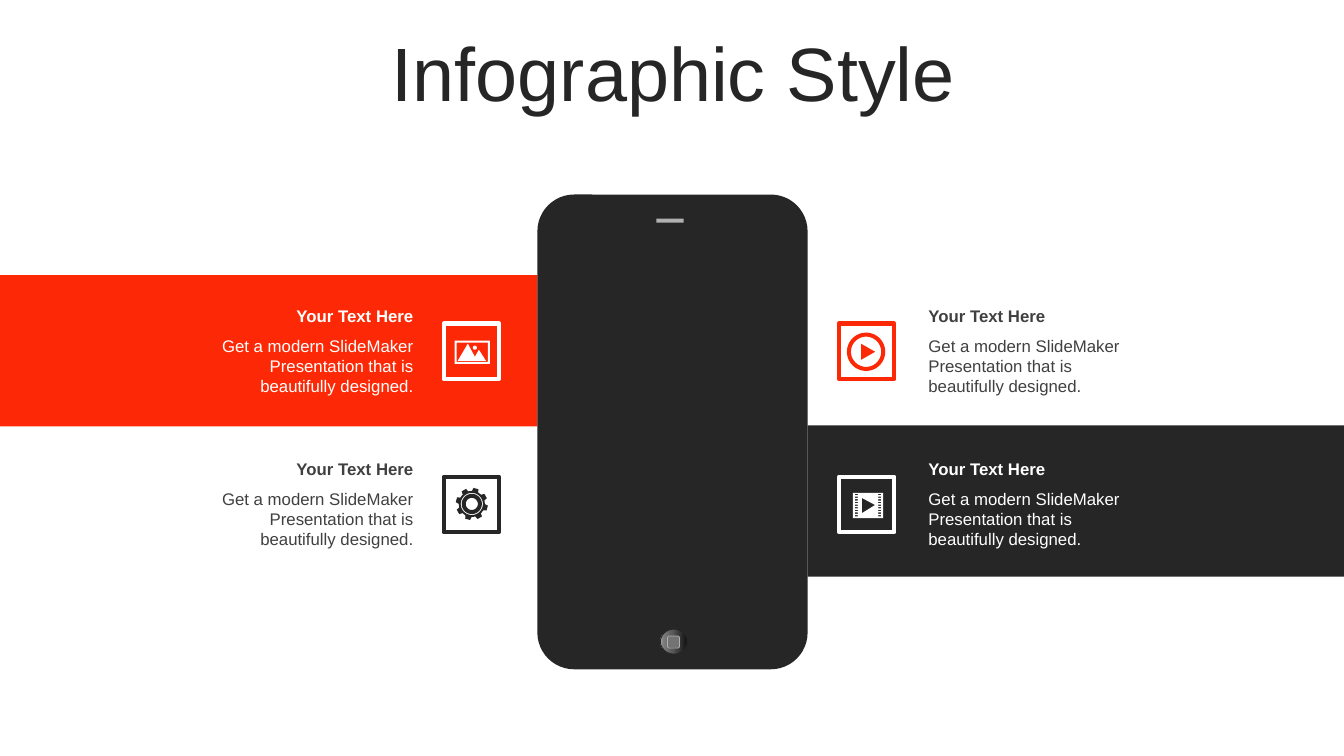
from math import cos, pi, sin

from lxml.etree import SubElement
from pptx import Presentation
from pptx.dml.color import RGBColor
from pptx.enum.shapes import MSO_SHAPE
from pptx.enum.text import MSO_ANCHOR, MSO_AUTO_SIZE, PP_ALIGN
from pptx.oxml.ns import qn
from pptx.util import Inches, Pt

COLORS = {
    "red": "FD2906",
    "dark": "262626",
    "white": "FFFFFF",
    "text": "404040",
    "silver": "B0B0B0",
    "button": "737373",
}
BUTTON_STOPS = [(0, "0F0F0F"), (56, "595959"), (91, "808080"), (100, "BFBFBF")]
BODY = "Get a modern SlideMaker Presentation that is beautifully designed."


def write_text(frame, text, *, size, color, bold=False, align=PP_ALIGN.LEFT,
               anchor=MSO_ANCHOR.TOP, before=0, spacing=1.0):
    """Fill a text frame with one formatted paragraph."""
    frame.word_wrap = True
    frame.auto_size = MSO_AUTO_SIZE.NONE
    frame.vertical_anchor = anchor
    paragraph = frame.paragraphs[0]
    paragraph.alignment = align
    paragraph.space_before = Pt(before)
    paragraph.line_spacing = spacing
    run = paragraph.add_run()
    run.text = text
    run.font.name = "Arial"
    run.font.size = Pt(size)
    run.font.bold = bold
    run.font.color.rgb = RGBColor.from_string(COLORS[color])


def box(left, top, width, height):
    """Return the corners of a rectangle."""
    right, bottom = left + width, top + height
    return [(left, top), (right, top), (right, bottom), (left, bottom)]


def circle(x, y, radius, count=48):
    """Return points evenly spaced around a circle."""
    angles = [2 * pi * step / count for step in range(count)]
    return [(x + radius * cos(a), y + radius * sin(a)) for a in angles]


def gear(x, y, teeth=8):
    """Return the toothed outline of a gear."""
    points = []
    for tooth in range(teeth):
        for offset, radius in [(-14, 0.13), (-9, 0.16), (9, 0.16), (14, 0.13)]:
            angle = (-75 + tooth * 360 / teeth + offset) * pi / 180
            points.append((x + radius * cos(angle), y + radius * sin(angle)))
    return points


class SlideBuilder:
    """Hold the slide and draw styled elements on it."""

    def __init__(self, slide):
        """Keep the slide to draw on."""
        self.slide = slide

    def title(self, text):
        """Place the slide title."""
        shape = self.slide.shapes.title
        shape.left, shape.top = Inches(0.35), Inches(0.37)
        shape.width, shape.height = Inches(12.66), Inches(0.79)
        write_text(shape.text_frame, text, size=54, color="dark", spacing=0.9,
                   align=PP_ALIGN.CENTER, anchor=MSO_ANCHOR.MIDDLE, before=10)

    def paint(self, shape, fill=None, line=None, line_width=0):
        """Apply fill and outline to a shape."""
        shape.shadow.inherit = False
        if fill:
            shape.fill.solid()
            shape.fill.fore_color.rgb = RGBColor.from_string(COLORS[fill])
        else:
            shape.fill.background()
        if line:
            shape.line.color.rgb = RGBColor.from_string(COLORS[line])
            shape.line.width = Pt(line_width)
        else:
            shape.line.fill.background()

    def shape(self, kind, left, top, width, height, **style):
        """Add a preset shape."""
        shape = self.slide.shapes.add_shape(
            kind, Inches(left), Inches(top), Inches(width), Inches(height))
        self.paint(shape, **style)
        return shape

    def icon(self, color, outlines):
        """Add nested outlines as one shape."""
        builder = None
        for outline in outlines:
            points = [(Inches(x), Inches(y)) for x, y in outline]
            if builder is None:
                builder = self.slide.shapes.build_freeform(*points[0], scale=1.0)
            else:
                builder.move_to(*points[0])
            builder.add_line_segments(points[1:], close=True)
        self.paint(builder.convert_to_shape(), fill=color)

    def text(self, text, left, top, height, **style):
        """Add a caption text box."""
        shape = self.slide.shapes.add_textbox(
            Inches(left), Inches(top), Inches(2.2), Inches(height))
        write_text(shape.text_frame, text, size=12, before=2.4, **style)

    def feature(self, left, top, frame_left, align, color, frame_color):
        """Add a heading, its description and an icon frame."""
        self.text("Your Text Here", left, top, 0.3, color=color, bold=True,
                  align=align, anchor=MSO_ANCHOR.MIDDLE)
        self.text(BODY, left, top + 0.3, 0.71, color=color, align=align)
        self.shape(MSO_SHAPE.RECTANGLE, frame_left, top + 0.23, 0.55, 0.55,
                   line=frame_color, line_width=3)

    def phone(self):
        """Draw the phone with its speaker and home button."""
        body = self.shape(MSO_SHAPE.ROUNDED_RECTANGLE, 5.33, 1.93, 2.68, 4.71,
                          fill="dark")
        body.adjustments[0] = 0.136
        self.shape(MSO_SHAPE.RECTANGLE, 6.51, 2.17, 0.27, 0.04, fill="silver")
        button = self.shape(MSO_SHAPE.OVAL, 6.55, 6.24, 0.27, 0.25, line="dark")
        button.fill.gradient()
        button.fill.gradient_angle = 180
        stops = button.element.spPr.find(qn("a:gradFill")).find(qn("a:gsLst"))
        for stop in list(stops):
            stops.remove(stop)
        for position, color in BUTTON_STOPS:
            stop = SubElement(stops, qn("a:gs"), pos=str(position * 1000))
            SubElement(stop, qn("a:srgbClr"), val=color)
        self.shape(MSO_SHAPE.ROUNDED_RECTANGLE, 6.62, 6.31, 0.12, 0.12,
                   fill="button", line="silver", line_width=0.5)


def main():
    """Build and save the slide."""
    presentation = Presentation()
    presentation.slide_width = Inches(13.33)
    presentation.slide_height = Inches(7.5)
    slide = presentation.slides.add_slide(presentation.slide_layouts[5])
    builder = SlideBuilder(slide)

    builder.title("Infographic Style")
    builder.shape(MSO_SHAPE.RECTANGLE, 0, 2.73, 5.33, 1.5, fill="red")
    builder.shape(MSO_SHAPE.RECTANGLE, 8.01, 4.22, 5.32, 1.5, fill="dark")
    builder.phone()

    top_row, bottom_row = 2.98, 4.5
    builder.feature(2, top_row, 4.4, PP_ALIGN.RIGHT, "white", "white")
    builder.feature(2, bottom_row, 4.4, PP_ALIGN.RIGHT, "text", "dark")
    builder.feature(9.11, top_row, 8.32, PP_ALIGN.LEFT, "text", "red")
    builder.feature(9.11, bottom_row, 8.32, PP_ALIGN.LEFT, "white", "white")

    builder.icon("red", [
        circle(8.59, 3.49, 0.19), circle(8.59, 3.49, 0.15),
        [(8.54, 3.41), (8.68, 3.49), (8.54, 3.57)]])
    holes = [box(left, 4.9 + row * 0.21 / 8, 0.03, 0.21 / 16)
             for row in range(9) for left in (8.48, 8.71)]
    builder.icon("white", [
        box(8.46, 4.89, 0.3, 0.25),
        [(8.55, 4.94), (8.68, 5.01), (8.55, 5.09)], *holes])
    builder.icon("white", [
        box(4.51, 3.38, 0.35, 0.23), box(4.53, 3.4, 0.31, 0.19),
        [(4.64, 3.41), (4.71, 3.54), (4.75, 3.47), (4.82, 3.58), (4.54, 3.58)],
        circle(4.71, 3.45, 0.02)])
    gear_center = (4.68, 5)
    rings = [circle(*gear_center, radius) for radius in (0.11, 0.1, 0.06)]
    builder.icon("dark", [gear(*gear_center), *rings])

    presentation.save("out.pptx")


if __name__ == "__main__":
    main()
